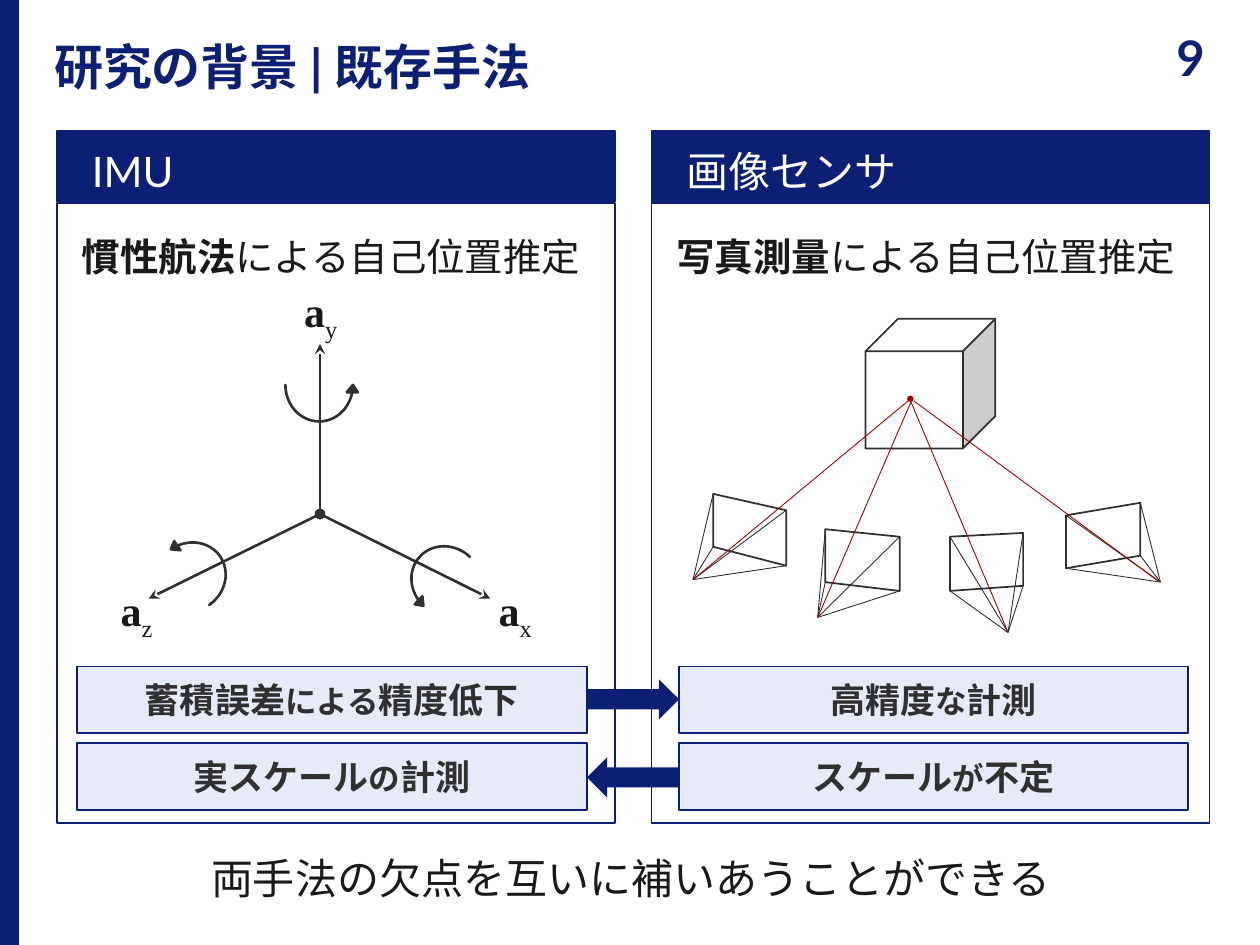
from dataclasses import dataclass

from lxml import etree
from pptx import Presentation
from pptx.dml.color import RGBColor
from pptx.enum.shapes import MSO_CONNECTOR, MSO_SHAPE
from pptx.enum.text import MSO_ANCHOR, MSO_AUTO_SIZE, PP_ALIGN
from pptx.oxml.ns import qn
from pptx.util import Inches, Pt

RECT, OVAL, CUBE = MSO_SHAPE.RECTANGLE, MSO_SHAPE.OVAL, MSO_SHAPE.CUBE
CURVED = MSO_SHAPE.CURVED_RIGHT_ARROW
RIGHT_ARROW, LEFT_ARROW = MSO_SHAPE.RIGHT_ARROW, MSO_SHAPE.LEFT_ARROW
STRAIGHT = MSO_CONNECTOR.STRAIGHT
TOP, MIDDLE = MSO_ANCHOR.TOP, MSO_ANCHOR.MIDDLE
LEFT, CENTER = PP_ALIGN.LEFT, PP_ALIGN.CENTER
FIT, FIXED = MSO_AUTO_SIZE.SHAPE_TO_FIT_TEXT, MSO_AUTO_SIZE.NONE

COLORS = {"navy": "0B2075", "white": "FFFFFF", "text": "191919",
          "ink": "303030", "pale": "E7EAF9", "ray": "A20000"}
SANS, SERIF = "Lato", "Times New Roman"

Point = tuple[float, float]
Box = tuple[float, float, float, float]


@dataclass
class Run:
    text: str
    size: float
    bold: bool = False
    baseline: int = 0


@dataclass
class Panel:
    left: float
    heading: str
    method: str
    note_left: float
    note_width: float
    notes: list[tuple[str, str, str]]


@dataclass
class Axis:
    name: str
    tip: Point
    label: Box
    wrap: bool
    turn: Box
    angle: float


@dataclass
class Camera:
    corners: list[Point]
    apex: Point
    ray_start: Point
    ray_end: Point


PANELS = [
    Panel(0.45, "IMU", "慣性航法", 0.61, 4.05,
          [("蓄積誤差", "による", "精度低下"), ("実スケール", "の", "計測")]),
    Panel(5.17, "画像センサ", "写真測量", 5.39, 4.04,
          [("高精度", "な", "計測"), ("スケール", "が", "不定")]),
]
PANEL_W, HEAD_TOP, HEAD_H, BODY_H = 4.43, 1.04, 0.56, 4.92
NOTE_TOPS, NOTE_H = (5.29, 5.9), 0.53

ORIGIN = (2.54, 4.08)
AXES = [
    Axis("y", (2.54, 2.73), (2.24, 2.22, 0.61, 0.5), True, (2.41, 2.91, 0.29, 0.58), 270),
    Axis("x", (3.89, 4.75), (3.86, 4.59, 0.47, 0.5), False, (3.28, 4.24, 0.29, 0.58), 43.5),
    Axis("z", (1.18, 4.75), (0.86, 4.59, 0.46, 0.5), False, (1.47, 4.19, 0.29, 0.58), 145.4),
]
CAMERAS = [
    Camera([(5.66, 3.92), (6.24, 4.05), (6.24, 4.49), (5.66, 4.34)],
           (5.5, 4.6), (7.21, 3.18), (5.5, 4.6)),
    Camera([(6.55, 4.2), (7.14, 4.26), (7.14, 4.69), (6.55, 4.62)],
           (6.49, 4.9), (7.23, 3.19), (6.49, 4.9)),
    Camera([(7.54, 4.26), (8.12, 4.23), (8.12, 4.65), (7.54, 4.69)],
           (8, 5.02), (7.23, 3.19), (8, 5.02)),
    Camera([(8.46, 4.09), (9.05, 3.99), (9.05, 4.41), (8.46, 4.51)],
           (9.21, 4.62), (7.25, 3.18), (9.19, 4.61)),
]


def rgb(name: str) -> RGBColor:
    return RGBColor.from_string(COLORS[name])


def write(sp, runs: list[Run], *, color="text", font=SANS, align=LEFT, anchor=TOP,
          insets=(0.1, 0.05, 0.1, 0.05), spacing=None, wrap=True, fit=FIXED) -> None:
    tf = sp.text_frame
    tf.word_wrap, tf.auto_size, tf.vertical_anchor = wrap, fit, anchor
    tf.margin_left, tf.margin_top, tf.margin_right, tf.margin_bottom = map(Inches, insets)
    p = tf.paragraphs[0]
    p.alignment, p.line_spacing = align, spacing
    for run in runs:
        r = p.add_run()
        r.text = run.text
        r.font.name, r.font.size, r.font.bold = font, Pt(run.size), run.bold
        r.font.color.rgb = rgb(color)
        if run.baseline:
            r.font._element.set("baseline", str(run.baseline * 1000))


def paint(sp, fill=None, line=None, width=1.0) -> None:
    sp.shadow.inherit = False
    if fill:
        sp.fill.solid()
        sp.fill.fore_color.rgb = rgb(fill)
    else:
        sp.fill.background()
    if line:
        sp.line.color.rgb = rgb(line)
        sp.line.width = Pt(width)
    else:
        sp.line.fill.background()


def add_shape(shapes, kind, box: Box, fill=None, line=None, width=1.0):
    sp = shapes.add_shape(kind, *map(Inches, box))
    paint(sp, fill, line, width)
    return sp


def add_text(shapes, box: Box, runs: list[Run], **fmt) -> None:
    write(shapes.add_textbox(*map(Inches, box)), runs, **fmt)


def add_line(shapes, start: Point, end: Point, color: str, width: float, arrow=False) -> None:
    c = shapes.add_connector(STRAIGHT, *map(Inches, (*start, *end)))
    c.line.color.rgb = rgb(color)
    c.line.width = Pt(width)
    if arrow:
        ln = c.line._get_or_add_ln()
        etree.SubElement(ln, qn("a:headEnd"), type="oval")
        etree.SubElement(ln, qn("a:tailEnd"), type="stealth")
    etree.SubElement(c._element.spPr, qn("a:effectLst"))


def draw_panel(shapes, panel: Panel) -> None:
    head = add_shape(shapes, RECT, (panel.left, HEAD_TOP, PANEL_W, HEAD_H), "navy", "navy")
    write(head, [Run(panel.heading, 24)], color="white", anchor=MIDDLE,
          insets=(0.28, 0.12, 0.1, 0), spacing=0.9)
    body = add_shape(shapes, RECT, (panel.left, 1.61, PANEL_W, BODY_H), line="navy")
    write(body, [Run(panel.method, 22, True), Run("による自己位置推定", 22)],
          insets=(0.2, 0.24, 0.1, 0.05))


def draw_notes(shapes, panel: Panel) -> None:
    for top, (first, particle, last) in zip(NOTE_TOPS, panel.notes):
        sp = add_shape(shapes, RECT, (panel.note_left, top, panel.note_width, NOTE_H),
                       "pale", "navy")
        write(sp, [Run(first, 20, True), Run(particle, 18, True), Run(last, 20, True)],
              color="ink", align=CENTER, anchor=MIDDLE)


def draw_axis(shapes, axis: Axis) -> None:
    add_text(shapes, axis.label, [Run("a", 24, True), Run(axis.name, 24, baseline=-25)],
             font=SERIF, align=CENTER if axis.wrap else LEFT, wrap=axis.wrap, fit=FIT)
    add_line(shapes, ORIGIN, axis.tip, "ink", 1.5, arrow=True)
    sp = add_shape(shapes, CURVED, axis.turn, "ink", "ink", 1.5)
    sp.rotation = axis.angle
    for i, value in enumerate((0, 0.301, 0.201)):
        sp.adjustments[i] = value


def draw_camera(shapes, camera: Camera) -> None:
    start, *rest = [(Inches(x), Inches(y)) for x, y in camera.corners]
    fb = shapes.build_freeform(*start)
    fb.add_line_segments(rest, close=True)
    paint(fb.convert_to_shape(), "white", "ink")
    for corner in camera.corners:
        add_line(shapes, camera.apex, corner, "ink", 0.5)


def main() -> None:
    prs = Presentation()
    prs.slide_width, prs.slide_height = Inches(10), Inches(7.5)
    s = prs.slides.add_slide(prs.slide_layouts[5])
    add_shape(s.shapes, RECT, (-0.01, 0, 0.16, 7.5), "navy")
    title = s.shapes.title
    title.left, title.top, title.width, title.height = map(Inches, (0, 0, 8.9, 0.91))
    write(title, [Run("研究の背景 | 既存手法", 28, True)], color="navy", anchor=MIDDLE,
          insets=(0.43, 0.2, 0, 0), spacing=0.9)
    add_text(s.shapes, (8.9, 0, 1.1, 0.91), [Run("9", 28, True)], color="navy",
             align=CENTER, anchor=MIDDLE)

    for panel in PANELS:
        draw_panel(s.shapes, panel)

    imu = s.shapes.add_group_shape().shapes
    for axis in AXES:
        draw_axis(imu, axis)

    scene = s.shapes.add_group_shape().shapes
    add_shape(scene, CUBE, (6.87, 2.53, 1.03, 1.03), "white", "ink")
    for camera in CAMERAS:
        draw_camera(scene, camera)
    add_shape(scene, OVAL, (7.2, 3.14, 0.05, 0.05), "ray")
    for camera in CAMERAS:
        add_line(scene, camera.ray_start, camera.ray_end, "ray", 0.5)

    for panel in PANELS:
        draw_notes(s.shapes, panel)
    for kind, top in ((RIGHT_ARROW, 5.39), (LEFT_ARROW, 6.01)):
        add_shape(s.shapes, kind, (4.66, top, 0.73, 0.32), "navy")
    add_text(s.shapes, (1.54, 6.72, 6.93, 0.5),
             [Run("両手法の欠点を互いに補いあうことができる", 24)],
             align=CENTER, wrap=False, fit=FIT)
    prs.save("out.pptx")


if __name__ == "__main__":
    main()
